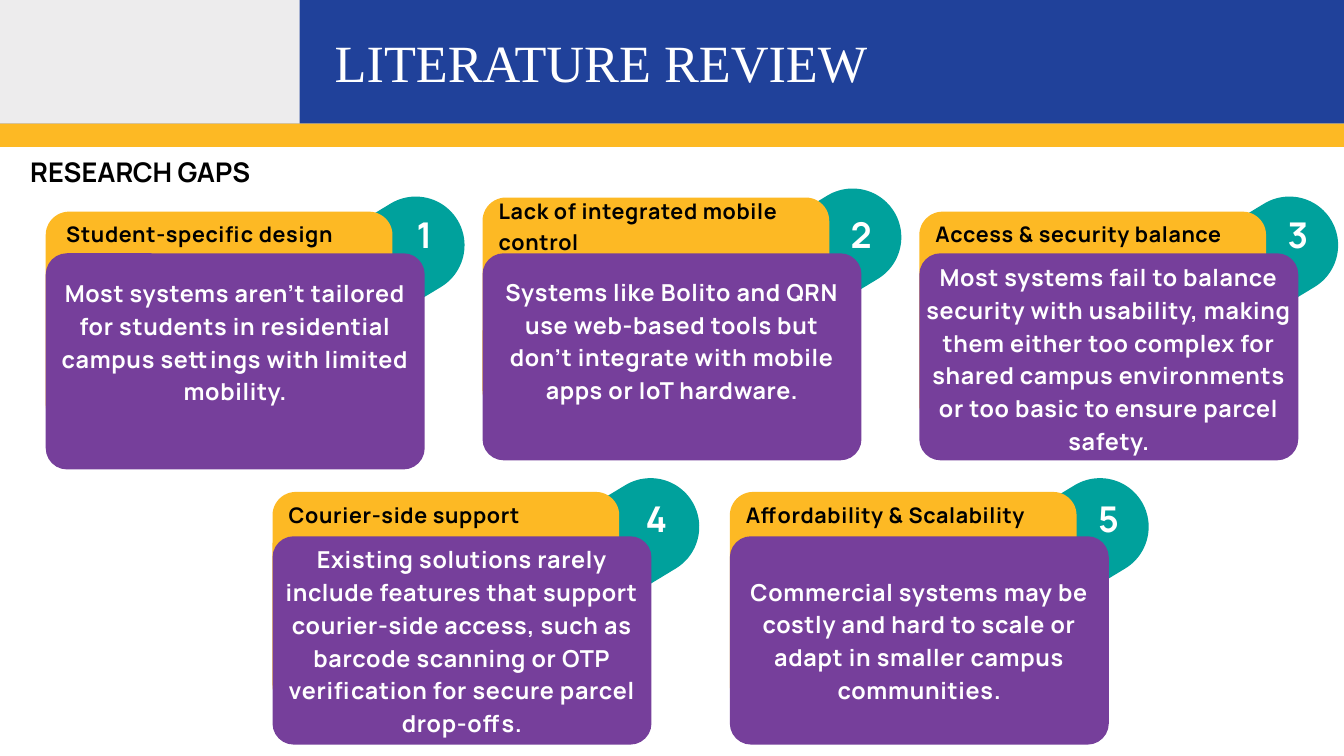
"""Build the literature review slide with five numbered research gap cards."""
from dataclasses import dataclass

from pptx import Presentation
from pptx.dml.color import RGBColor
from pptx.enum.shapes import MSO_SHAPE as Shape
from pptx.enum.text import MSO_ANCHOR as Anchor, MSO_AUTO_SIZE as AutoSize, PP_ALIGN as Align
from pptx.oxml.ns import qn
from pptx.util import Pt

COLORS = {
    "blue": "20419A",
    "grey": "EDECED",
    "yellow": "FDB924",
    "teal": "00A19C",
    "purple": "763F9B",
    "white": "FFFFFF",
    "black": "000000",
}
BODY_WIDTH = 406
TAB_WIDTH = 371.5
TAB_HEIGHT = 232
PILL_WIDTH, PILL_HEIGHT = 267, 104.4
TOP_ROW, BOTTOM_ROW = 271.4, 574.6
FIRST_LEFT, CARD_STEP = 49, 468


@dataclass
class Card:
    """One research gap; rises, drops and insets are relative to the body."""

    heading: str
    detail: str
    left: float
    top: float
    body_height: float
    detail_drop: float
    detail_inset: float = 17
    tab_rise: float = 44.6
    heading_rise: float = 39.6
    heading_inset: float = 17.3
    pill_rise: float = 18.7
    pill_inset: float = 193.5
    number_rise: float = 51
    number_inset: float = TAB_WIDTH


CARDS = [
    Card("Student-specific design",
         "Most systems aren't tailored for students in residential campus settings "
         "with limited mobility.",
         FIRST_LEFT, TOP_ROW, 231.6, 23.1, heading_inset=22),
    Card("Lack of integrated mobile control",
         "Systems like Bolito and QRN use web-based tools but don’t integrate with "
         "mobile apps or IoT hardware.",
         FIRST_LEFT + CARD_STEP, TOP_ROW, 221.8, 21.6,
         tab_rise=59.7, heading_rise=63.3, pill_rise=27.3),
    Card("Access & security balance",
         "Most systems fail to balance security with usability, making them either too "
         "complex for shared campus environments or too basic to ensure parcel safety.",
         FIRST_LEFT + 2 * CARD_STEP, TOP_ROW, 221.8, 5.8, detail_inset=0),
    Card("Courier-side support",
         "Existing solutions rarely include features that support courier-side access, "
         "such as barcode scanning or OTP verification for secure parcel drop-offs.",
         292, BOTTOM_ROW, 223.2, 5, detail_inset=0, tab_rise=47.5, heading_rise=41.8,
         pill_rise=20.2, pill_inset=202, number_rise=49.7, number_inset=377),
    Card("Affordability & Scalability",
         "Commercial systems may be costly and hard to scale or adapt in smaller "
         "campus communities.",
         782, BOTTOM_ROW, 223.2, 39.6, tab_rise=47.5, heading_rise=41.8,
         pill_rise=20.2, number_rise=49.7),
]


def add_block(slide, left, top, width, height, color, radius=0, rotation=0):
    """Add a plain filled rectangle, rounded when a corner radius is given."""
    kind = Shape.ROUNDED_RECTANGLE if radius else Shape.RECTANGLE
    shape = slide.shapes.add_shape(kind, Pt(left), Pt(top), Pt(width), Pt(height))
    if radius:
        shape.adjustments[0] = radius / min(width, height)
    shape.rotation = rotation
    shape.shadow.inherit = False
    shape.fill.solid()
    shape.fill.fore_color.rgb = RGBColor.from_string(COLORS[color])
    shape.line.fill.background()


def write_text(shape, text, size, line_spacing, color,
               align=Align.LEFT, font="Manrope", bold=True, tracking=0):
    """Fill a text shape with one formatted paragraph and no insets."""
    frame = shape.text_frame
    frame.word_wrap = True
    frame.auto_size = AutoSize.NONE
    frame.vertical_anchor = Anchor.TOP
    frame.margin_left = frame.margin_top = frame.margin_right = frame.margin_bottom = 0
    frame.text = text
    paragraph = frame.paragraphs[0]
    paragraph.alignment = align
    paragraph.line_spacing = Pt(line_spacing)
    paragraph.space_before = Pt(0)
    paragraph.font.name = font
    paragraph.font.size = Pt(size)
    paragraph.font.bold = bold
    paragraph.font.color.rgb = RGBColor.from_string(COLORS[color])
    if tracking:
        paragraph._p.pPr.find(qn("a:defRPr")).set("spc", str(round(tracking * 100)))


def add_label(slide, left, top, width, height, *text, **style):
    """Add a text box and write its text."""
    box = slide.shapes.add_textbox(Pt(left), Pt(top), Pt(width), Pt(height))
    write_text(box, *text, **style)


def add_header(slide):
    """Add the header bands, the title and the section heading."""
    add_block(slide, 0, 0, 1440, 132.5, "blue")
    add_block(slide, 0, 0, 321, 132.5, "grey")
    add_block(slide, 0, 132.5, 1440, 25, "yellow")
    title = slide.shapes.title
    title.left, title.top, title.width, title.height = Pt(358.6), Pt(32.4), Pt(724), Pt(75.6)
    write_text(title, "LITERATURE REVIEW", 56, 67.2, "white",
               font="Times New Roman", bold=False)
    slide.shapes._spTree.append(title._element)
    add_label(slide, 32.4, 161.3, 1125, 41, "RESEARCH GAPS", 29, 40.6, "black")


def add_card(slide, number, card):
    """Add one numbered card with its pill, tab, body and texts."""
    left, top = card.left, card.top
    add_block(slide, left + card.pill_inset, top - card.pill_rise, PILL_WIDTH, PILL_HEIGHT,
              "teal", radius=PILL_HEIGHT / 2, rotation=328.8)
    add_block(slide, left, top - card.tab_rise, TAB_WIDTH, TAB_HEIGHT, "yellow", radius=25)
    add_block(slide, left, top, BODY_WIDTH, card.body_height, "purple", radius=22.7)
    add_label(slide, left + card.heading_inset, top - card.heading_rise, TAB_WIDTH, 32,
              card.heading, 23, 32.2, "black", tracking=0.7)
    add_label(slide, left + card.detail_inset, top + card.detail_drop,
              BODY_WIDTH - 2 * card.detail_inset, 173,
              card.detail, 25, 35, "white", align=Align.CENTER, tracking=0.8)
    add_label(slide, left + card.number_inset, top - card.number_rise, 68.4, 54,
              str(number), 38, 53.2, "white", align=Align.CENTER, tracking=1.2)


def main():
    """Build and save the presentation."""
    presentation = Presentation()
    presentation.slide_width, presentation.slide_height = Pt(1440), Pt(810)
    slide = presentation.slides.add_slide(presentation.slide_layouts[5])
    add_header(slide)
    for number, card in enumerate(CARDS, start=1):
        add_card(slide, number, card)
    presentation.save("out.pptx")


if __name__ == "__main__":
    main()
